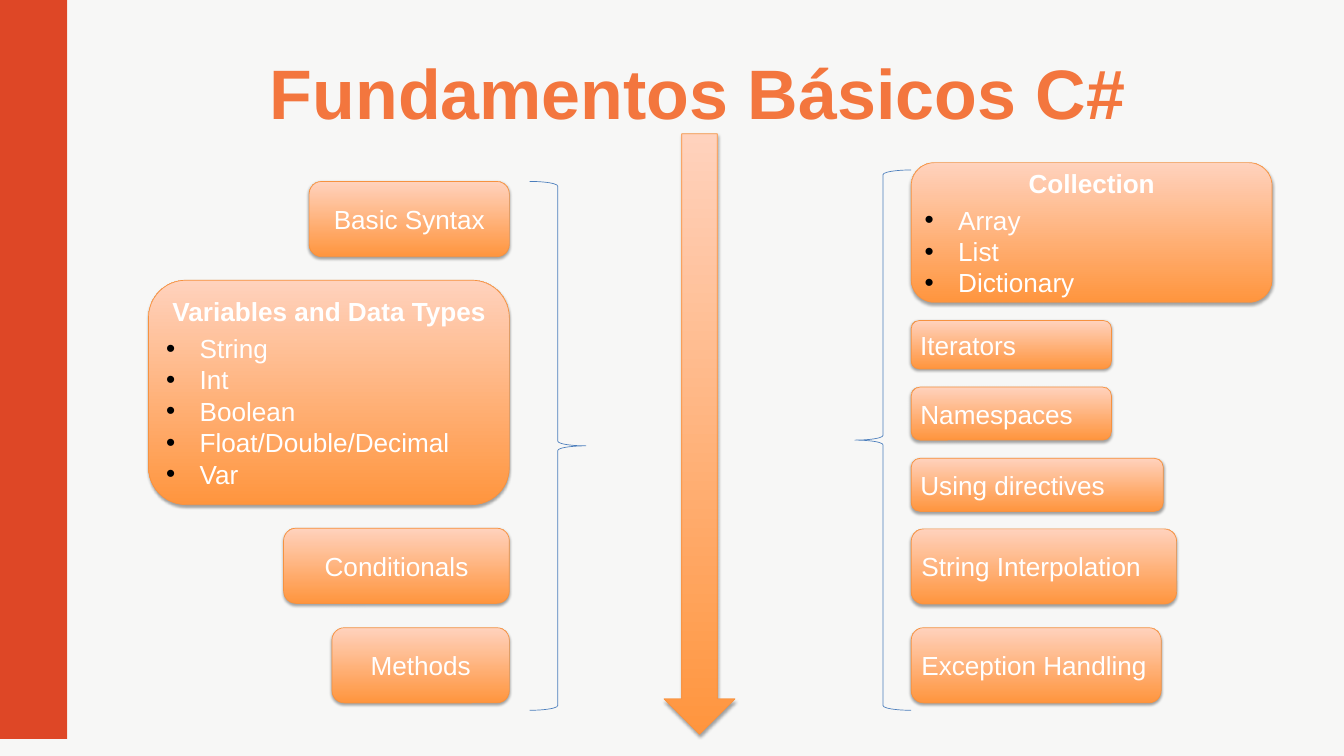
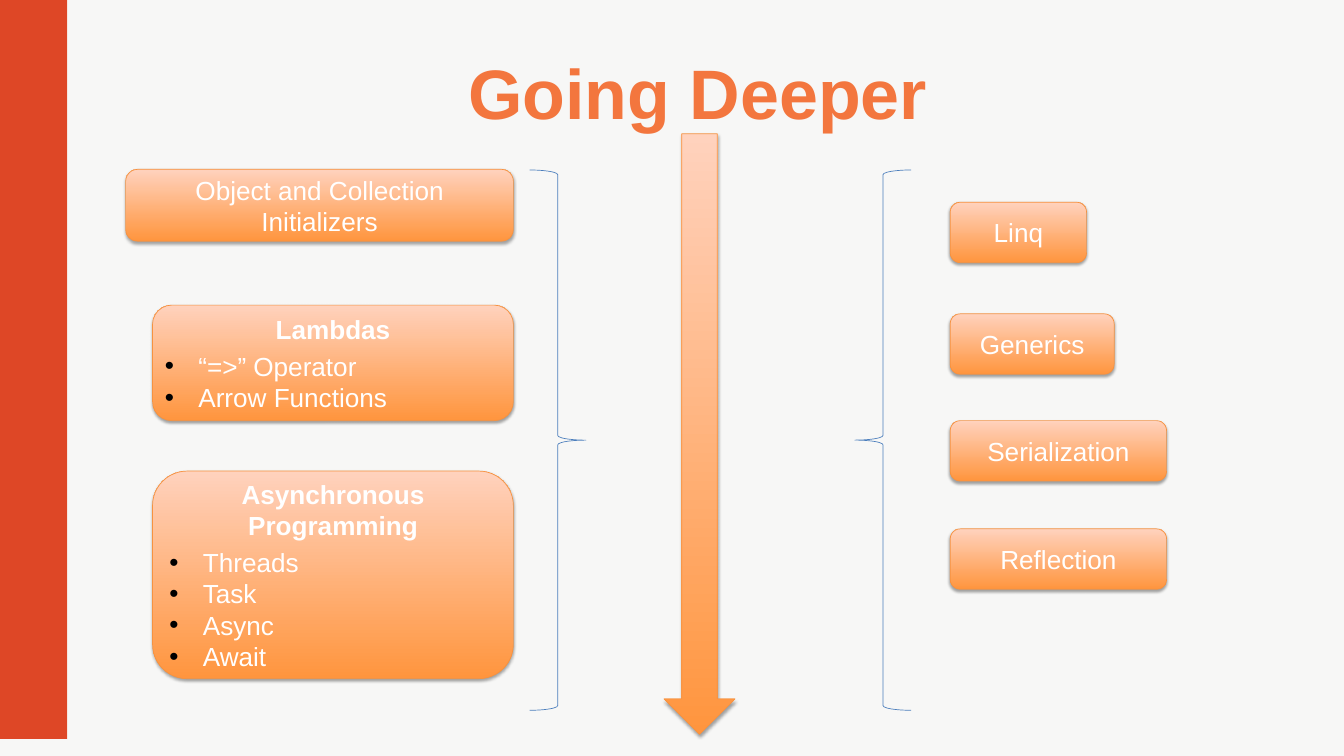
from lxml import etree
from pptx import Presentation
from pptx.dml.color import RGBColor
from pptx.enum.shapes import MSO_SHAPE
from pptx.enum.text import MSO_ANCHOR, MSO_AUTO_SIZE, PP_ALIGN
from pptx.oxml.ns import qn
from pptx.util import Inches, Pt

# Shared look
ORANGE = RGBColor(0xF3, 0x76, 0x3E)
RED = RGBColor(0xDE, 0x47, 0x26)
PAPER = RGBColor(0xF7, 0xF7, 0xF6)
WHITE = RGBColor(0xFF, 0xFF, 0xFF)
BLACK = RGBColor(0x00, 0x00, 0x00)
BOX_BOTTOM = RGBColor(0xFF, 0x95, 0x3E)
BOX_TOP = RGBColor(0xFF, 0xD2, 0xBD)
BOX_LINE = RGBColor(0xF6, 0x92, 0x40)
BRACE_LINE = RGBColor(0x4B, 0x7E, 0xBC)
LEFT, CENTER = PP_ALIGN.LEFT, PP_ALIGN.CENTER
TOP, MIDDLE = MSO_ANCHOR.TOP, MSO_ANCHOR.MIDDLE
BOX, ARROW = MSO_SHAPE.FLOWCHART_ALTERNATE_PROCESS, MSO_SHAPE.DOWN_ARROW
LEFT_BRACE, RIGHT_BRACE = MSO_SHAPE.LEFT_BRACE, MSO_SHAPE.RIGHT_BRACE

TITLE_FONT = {"name": "Arial", "size": Pt(75), "bold": True}
BOX_FONT = {"name": "Arial", "size": Pt(28), "bold": False}
HEADING_FONT = {**BOX_FONT, "bold": True}

PAGE_WIDTH, PAGE_HEIGHT = 20, 11.25
BAND_STEP, BAND_INNER, BAND_OUTER, BAND_SHIFT = 0.35, 1.06, 1.42, 0.23
BAND_END = PAGE_HEIGHT - BAND_SHIFT
TITLE_PLACE = (3.01, 0.48, 14.75, 1.51)
ARROW_PLACE = (9.88, 1.99, 1.06, 8.94)
BRACE_WIDTH, BRACE_BOTTOM = 0.84, 10.57
BRACE_LEFTS = {RIGHT_BRACE: 7.88, LEFT_BRACE: 12.72}

# Content: boxes are (heading, list items, top, width, height).
# Left boxes end at the column edge, right boxes start at it.
PAGES = [
    {
        "title": "Fundamentos Básicos C#",
        "left": {
            "edge": 7.58, "brace_top": 2.7, "align": CENTER,
            "boxes": [
                ("Basic Syntax", [], 2.7, 2.98, 1.12),
                ("Variables and Data Types",
                 ["String", "Int", "Boolean", "Float/Double/Decimal", "Var"],
                 4.17, 5.37, 3.34),
                ("Conditionals", [], 7.86, 3.36, 1.12),
                ("Methods", [], 9.34, 2.64, 1.12),
            ],
        },
        "right": {
            "edge": 13.56, "brace_top": 2.53, "align": LEFT,
            "boxes": [
                ("Collection", ["Array", "List", "Dictionary"], 2.42, 5.37, 2.08),
                ("Iterators", [], 4.77, 2.98, 0.72),
                ("Namespaces", [], 5.76, 2.98, 0.79),
                ("Using directives", [], 6.82, 3.75, 0.79),
                ("String Interpolation", [], 7.87, 3.95, 1.12),
                ("Exception Handling", [], 9.34, 3.72, 1.12),
            ],
        },
    },
    {
        "title": "Going Deeper",
        "left": {
            "edge": 7.64, "brace_top": 2.53, "align": CENTER,
            "boxes": [
                ("Object and Collection Initializers", [], 2.52, 5.77, 1.07),
                ("Lambdas", ["“=>” Operator", "Arrow Functions"], 4.54, 5.37, 1.72),
                ("Asynchronous Programming",
                 ["Threads", "Task", "Async", "Await"], 7.01, 5.37, 3.09),
            ],
        },
        "right": {
            "edge": 14.14, "brace_top": 2.53, "align": CENTER,
            "boxes": [
                ("Linq", [], 3.01, 2.03, 0.9),
                ("Generics", [], 4.67, 2.44, 0.9),
                ("Serialization", [], 6.26, 3.22, 0.9),
                ("Reflection", [], 7.87, 3.22, 0.9),
            ],
        },
    },
]


def set_all(target, values):
    for name, value in values.items():
        setattr(target, name, value)


def add_child(parent, tag, **attributes):
    return etree.SubElement(parent, qn(tag), attributes)


def write(para, text, font, color, align):
    para.alignment = align
    span = para.add_run()
    span.text = text
    set_all(span.font, font)
    span.font.color.rgb = color


def add_bullet(para):
    props = para._p.get_or_add_pPr()
    indent = Inches(0.5)
    props.set("marL", str(indent))
    props.set("indent", str(-indent))
    add_child(add_child(props, "a:buClr"), "a:srgbClr", val=str(BLACK))
    add_child(props, "a:buFont", typeface="Arial")
    add_child(props, "a:buChar", char="•")


def add_preset(page, kind, place, line_color):
    shape = page.shapes.add_shape(kind, *map(Inches, place))
    shape.shadow.inherit = False
    shape.line.color.rgb = line_color
    shape.line.width = Pt(0.75)
    return shape


def add_glossy(page, kind, place):
    """Preset shape with the orange gradient and a soft shadow below."""
    shape = add_preset(page, kind, place, BOX_LINE)
    shape.fill.gradient()
    shape.fill.gradient_angle = 90
    stops = zip(shape.fill.gradient_stops, (BOX_BOTTOM, BOX_TOP), (0, 1))
    for stop, color, position in stops:
        stop.color.rgb = color
        stop.position = position
    effects = shape._element.spPr.find(qn("a:effectLst"))
    shadow = add_child(effects, "a:outerShdw", blurRad=str(Pt(3.1)),
                       dist=str(Pt(1.8)), dir="5400000", rotWithShape="0")
    tint = add_child(shadow, "a:srgbClr", val=str(BLACK))
    add_child(tint, "a:alpha", val="35000")
    return shape


def add_box(page, place, heading, items, align):
    frame = add_glossy(page, BOX, place).text_frame
    set_all(frame, {"word_wrap": True, "vertical_anchor": MIDDLE})
    first = frame.paragraphs[0]
    if items:
        write(first, heading, HEADING_FONT, WHITE, CENTER)
        first.space_after = Pt(6)
    else:
        write(first, heading, BOX_FONT, WHITE, align)
    for item in items:
        para = frame.add_paragraph()
        write(para, item, BOX_FONT, WHITE, LEFT)
        add_bullet(para)


def add_column(page, column, brace):
    for heading, items, top, width, height in column["boxes"]:
        left = column["edge"] - (width if brace == RIGHT_BRACE else 0)
        add_box(page, (left, top, width, height), heading, items, column["align"])
    top = column["brace_top"]
    place = (BRACE_LEFTS[brace], top, BRACE_WIDTH, BRACE_BOTTOM - top)
    add_preset(page, brace, place, BRACE_LINE).fill.background()


def add_bands(page):
    """Two overlapping side bands along the left edge."""
    bands = [
        (ORANGE, [(BAND_STEP, 0), (BAND_OUTER, 0), (BAND_OUTER, BAND_END),
                  (BAND_INNER, BAND_END), (BAND_INNER, BAND_SHIFT),
                  (BAND_STEP, BAND_SHIFT)]),
        (RED, [(0, BAND_SHIFT), (BAND_INNER, BAND_SHIFT),
               (BAND_INNER, PAGE_HEIGHT), (0, PAGE_HEIGHT)]),
    ]
    for color, points in bands:
        outline = page.shapes.build_freeform(*points[0], scale=Inches(1))
        outline.add_line_segments(points[1:], close=True)
        band = outline.convert_to_shape()
        band.shadow.inherit = False
        band.fill.solid()
        band.fill.fore_color.rgb = color
        band.line.fill.background()


def add_title(page, text):
    title = page.shapes.title
    set_all(title, dict(zip(("left", "top", "width", "height"),
                            map(Inches, TITLE_PLACE))))
    frame = title.text_frame
    set_all(frame, {"margin_left": 0, "margin_right": 0, "margin_top": 0,
                    "margin_bottom": 0, "word_wrap": True,
                    "vertical_anchor": TOP, "auto_size": MSO_AUTO_SIZE.NONE})
    para = frame.paragraphs[0]
    write(para, text, TITLE_FONT, ORANGE, CENTER)
    para.line_spacing = 1.2


def main():
    deck = Presentation()
    deck.slide_width, deck.slide_height = Inches(PAGE_WIDTH), Inches(PAGE_HEIGHT)
    backdrop = deck.slide_master.background.fill
    backdrop.solid()
    backdrop.fore_color.rgb = PAPER
    title_only = deck.slide_layouts.get_by_name("Title Only")
    for content in PAGES:
        page = deck.slides.add_slide(title_only)
        add_bands(page)
        add_title(page, content["title"])
        add_column(page, content["left"], RIGHT_BRACE)
        add_column(page, content["right"], LEFT_BRACE)
        add_glossy(page, ARROW, ARROW_PLACE)
    deck.save("out.pptx")


if __name__ == "__main__":
    main()
